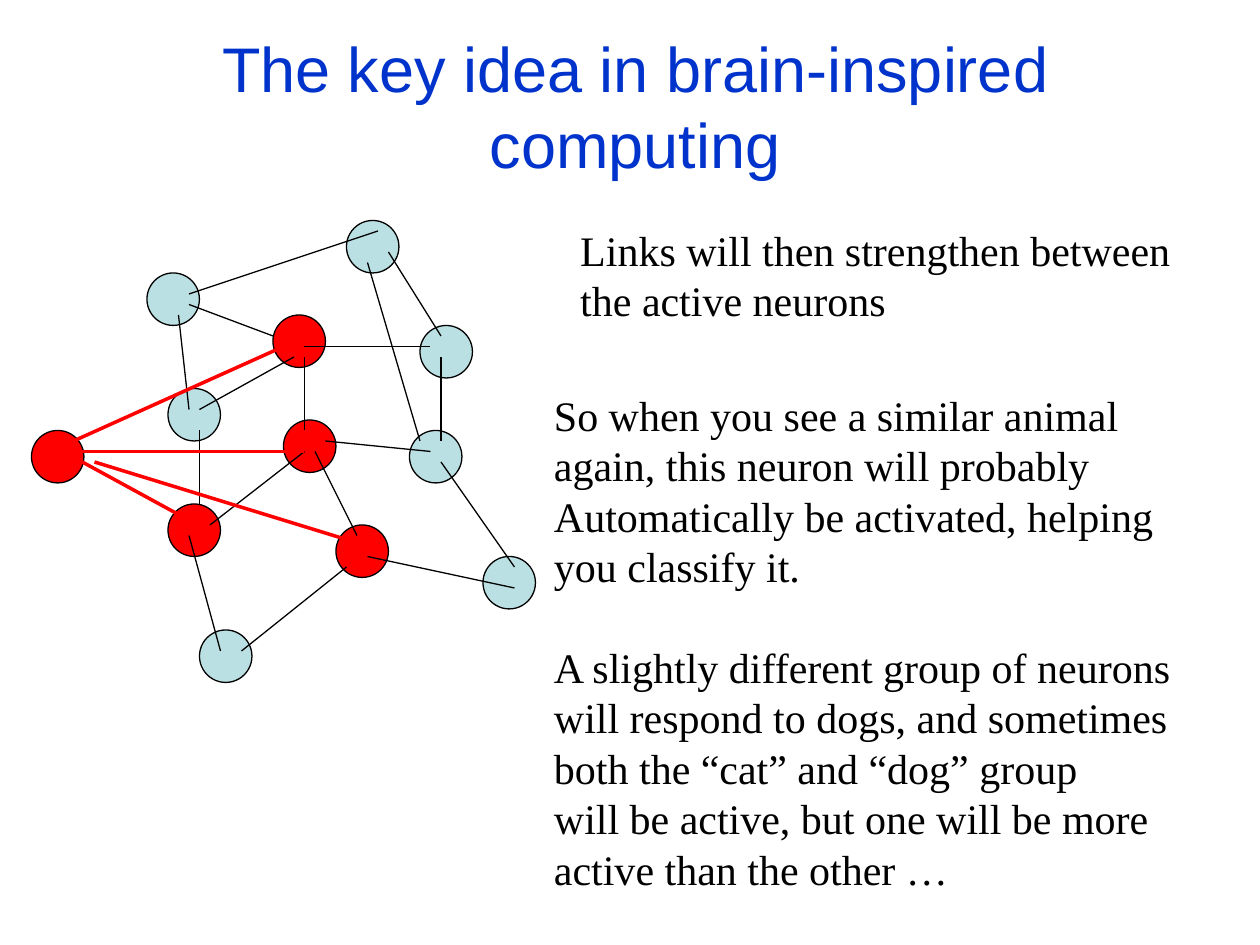
from dataclasses import dataclass

from lxml import etree
from pptx import Presentation
from pptx.dml.color import RGBColor
from pptx.enum import shapes, text
from pptx.oxml import ns
from pptx.util import Pt


@dataclass(frozen=True)
class Theme:
    title_color: RGBColor = RGBColor(0x00, 0x33, 0xCC)
    ink: RGBColor = RGBColor(0, 0, 0)
    resting: RGBColor = RGBColor(0xBB, 0xE0, 0xE3)
    active: RGBColor = RGBColor(0xFF, 0, 0)
    title_font: str = "Arial"
    body_font: str = "Times New Roman"
    title_size: int = 36
    body_size: int = 24
    thin: float = 0.75
    thick: float = 2


theme = Theme()
GRID = 6       # points per grid step of the network
NEURON = 30    # neuron diameter in points


def add_link(ends, color, width):
    """Draw a line between two grid points."""
    link = slide.shapes.add_connector(
        shapes.MSO_CONNECTOR.STRAIGHT, *(Pt(GRID * step) for step in ends))
    link.line.color.rgb = color
    link.line.width = Pt(width)
    etree.SubElement(link._element.spPr, ns.qn("a:effectLst"))


def add_neuron(column, row, color):
    """Draw a neuron with its top left corner on a grid point."""
    neuron = slide.shapes.add_shape(
        shapes.MSO_SHAPE.OVAL, Pt(GRID * column), Pt(GRID * row), Pt(NEURON), Pt(NEURON))
    neuron.shadow.inherit = False
    neuron.fill.solid()
    neuron.fill.fore_color.rgb = color
    neuron.line.color.rgb = theme.ink
    neuron.line.width = Pt(theme.thin)


presentation = Presentation()
presentation.slide_width, presentation.slide_height = Pt(720), Pt(540)
slide = presentation.slides.add_slide(presentation.slide_layouts[5])

# Title
title = slide.shapes.title
title.left, title.top, title.width, title.height = Pt(54), Pt(24), Pt(618), Pt(72)
title.text_frame.auto_size = text.MSO_AUTO_SIZE.NONE
title.text_frame.vertical_anchor = text.MSO_ANCHOR.MIDDLE
paragraph = title.text_frame.paragraphs[0]
paragraph.alignment = text.PP_ALIGN.CENTER
run = paragraph.add_run()
run.text = "The key idea in brain-inspired computing"
run.font.name = theme.title_font
run.font.size = Pt(theme.title_size)
run.font.color.rgb = theme.title_color

# Neurons, as column and row on the grid
resting_neurons = [(14, 26), (16, 37), (40, 31), (39, 41), (19, 60), (46, 53), (33, 21)]
active_neurons = [(26, 30), (16, 48), (27, 40), (32, 50)]
for color, neurons in ((theme.resting, resting_neurons), (theme.active, active_neurons)):
    for column, row in neurons:
        add_neuron(column, row, color)

# Ordinary links, as start and end on the grid
links = [
    (23, 62, 33, 54), (19, 41, 19, 48), (18, 29, 26, 32), (37, 24, 42, 32),
    (20, 50, 29, 43), (18, 51, 21, 62), (19, 39, 28, 34), (17, 30, 18, 39),
    (18, 28, 36, 22), (31, 42, 41, 43), (29, 33, 41, 33), (30, 43, 34, 51),
    (29, 41, 29, 34), (35, 53, 49, 56), (49, 54, 42, 44), (42, 42, 42, 34),
    (40, 42, 35, 25),
]
for ends in links:
    add_link(ends, theme.ink, theme.thin)

# Classifying neuron with its strengthened links
add_neuron(3, 41, theme.active)
for ends in [(7, 42, 27, 33), (7, 43, 29, 43), (6, 43, 17, 49), (9, 44, 35, 52)]:
    add_link(ends, theme.active, theme.thick)

# Explanations: box position and size, then blocks of lines
explanations = [
    ((324.5, 124.5, 351.5, 65), [
        ["Links will then strengthen between", "the active neurons"],
    ]),
    ((309.5, 219, 368, 324), [
        ["So when you see a similar animal", "again, this neuron will probably",
         "Automatically be activated, helping", "you classify it."],
        ["A slightly different group of neurons", "will respond to dogs, and sometimes",
         "both the “cat” and “dog” group", "will be active, but one will be more",
         "active than the other …"],
    ]),
]
for box, blocks in explanations:
    frame = slide.shapes.add_textbox(*(Pt(length) for length in box)).text_frame
    frame.word_wrap = False
    paragraph = frame.paragraphs[0]
    for block_number, block in enumerate(blocks):
        for line_number, line in enumerate(block):
            if block_number or line_number:
                paragraph = frame.add_paragraph()
            if block_number and not line_number:
                paragraph.space_before = Pt(28.8)
            run = paragraph.add_run()
            run.text = line
            run.font.name = theme.body_font
            run.font.size = Pt(theme.body_size)
            run.font.color.rgb = theme.ink

presentation.save("out.pptx")
